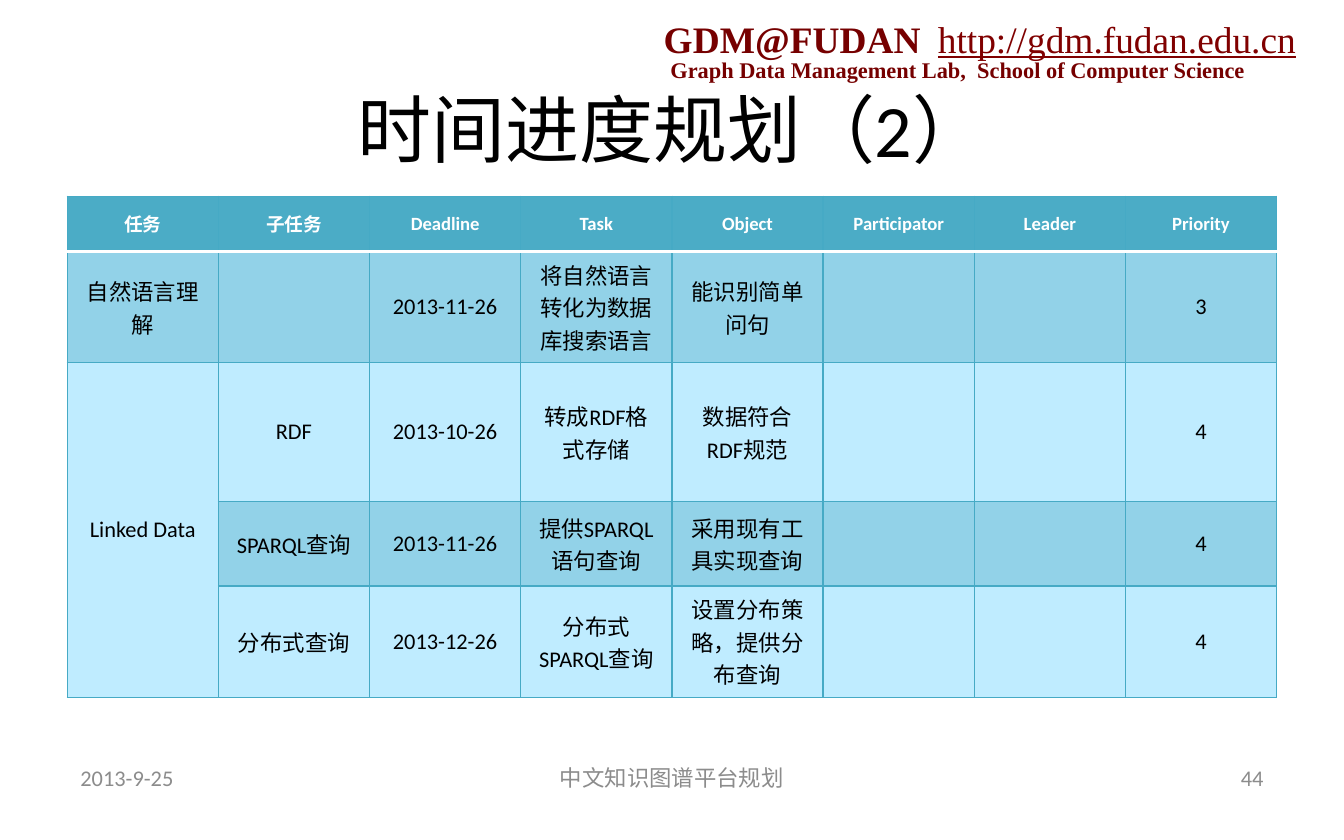
from lxml.etree import SubElement
from pptx import Presentation
from pptx.dml.color import RGBColor
from pptx.enum.text import MSO_ANCHOR as Anchor, PP_ALIGN as Align
from pptx.oxml import parse_xml
from pptx.oxml.ns import nsdecls, qn
from pptx.util import Inches, Pt

MAROON, GREY, BLACK, WHITE = "760000", "8C8C8C", "000000", "FFFFFF"
HEADER_FILL, DARK_BAND, LIGHT_BAND, GRID = "4BACC6", "92D2E8", "BFECFF", "46AAC5"
SERIF, SANS = "Times New Roman", "Calibri"

ROW_HEIGHTS = [0.41, 0.83, 1.03, 0.63, 0.83]
SCHEDULE = [
    ["任务", "子任务", "Deadline", "Task", "Object", "Participator", "Leader", "Priority"],
    ["自然语言理解", "", "2013-11-26", "将自然语言转化为数据库搜索语言", "能识别简单问句", "", "", "3"],
    ["Linked Data", "RDF", "2013-10-26", "转成RDF格式存储", "数据符合RDF规范", "", "", "4"],
    ["", "SPARQL查询", "2013-11-26", "提供SPARQL语句查询", "采用现有工具实现查询", "", "", "4"],
    ["", "分布式查询", "2013-12-26", "分布式SPARQL查询", "设置分布策略，提供分布查询", "", "", "4"],
]


def rgb(value):
    """Turn a hex string into a colour."""
    return RGBColor.from_string(value)


def style(paragraph, size, color, face=SANS, bold=False, underline=False, align=Align.LEFT):
    """Set the font and alignment of a whole paragraph."""
    paragraph.alignment = align
    font = paragraph.font
    font.size, font.name, font.bold, font.underline = Pt(size), face, bold, underline
    font.color.rgb = rgb(color)


def add_text(slide, box, text, size, color, anchor=Anchor.MIDDLE, wrap=True, **look):
    """Add one line of text in a box and return its run."""
    frame = slide.shapes.add_textbox(*map(Inches, box)).text_frame
    frame.word_wrap, frame.vertical_anchor = wrap, anchor
    paragraph = frame.paragraphs[0]
    run = paragraph.add_run()
    run.text = text
    style(paragraph, size, color, **look)
    return run


def add_shadow(run):
    """Give a run of text a soft shadow."""
    run._r.get_or_add_rPr().append(parse_xml(
        f'<a:effectLst {nsdecls("a")}><a:outerShdw blurRad="38100" dist="38100" dir="8100000">'
        '<a:srgbClr val="000000"><a:alpha val="43000"/></a:srgbClr></a:outerShdw></a:effectLst>'))


def add_border(cell, side, color, width):
    """Draw one side of a cell."""
    line = SubElement(cell._tc.get_or_add_tcPr(), qn(f"a:ln{side}"), w=str(Pt(width)))
    SubElement(SubElement(line, qn("a:solidFill")), qn("a:srgbClr"), val=color)


def add_lab_banner(slide, left, top):
    """Place the lab's name, address and subtitle."""
    serif = dict(face=SERIF, anchor=Anchor.TOP)
    add_text(slide, (left + 0.05, top + 0.3, 4.6, 0.3),
             "Graph Data Management Lab,  School of Computer Science", 12, MAROON, bold=True, **serif)
    add_shadow(add_text(slide, (left, top, 2.12, 0.43), "GDM@FUDAN", 20, MAROON, bold=True, **serif))
    add_text(slide, (left + 2.04, top, 2.88, 0.43), "http://gdm.fudan.edu.cn", 20, "800000",
             wrap=False, underline=True, **serif)


def add_schedule(slide, left, top, width):
    """Place the banded schedule table."""
    rows, columns = len(SCHEDULE), len(SCHEDULE[0])
    table = slide.shapes.add_table(rows, columns, Inches(left), Inches(top),
                                   Inches(width), Inches(sum(ROW_HEIGHTS))).table
    for column in table.columns:
        column.width = Inches(width / columns)
    for index, (height, labels) in enumerate(zip(ROW_HEIGHTS, SCHEDULE)):
        table.rows[index].height = Inches(height)
        heading = index == 0
        band = HEADER_FILL if heading else DARK_BAND if index % 2 else LIGHT_BAND
        divider, edge = (WHITE, 2), (GRID, 0.75)
        for position, label in enumerate(labels):
            cell = table.cell(index, position)
            add_border(cell, "L", *edge)
            add_border(cell, "R", *edge)
            add_border(cell, "T", *(divider if index == 1 else edge))
            add_border(cell, "B", *(divider if heading else edge))
            cell.fill.solid()
            cell.fill.fore_color.rgb = rgb(LIGHT_BAND if position == 0 and index > 1 else band)
            cell.vertical_anchor = Anchor.MIDDLE
            cell.text = label
            style(cell.text_frame.paragraphs[0], 10 if heading else 12,
                  WHITE if heading else BLACK, bold=heading, align=Align.CENTER)
    table.cell(2, 0).merge(table.cell(rows - 1, 0))


def add_footer(slide, left, top, width, height):
    """Place the date, the talk's name and the page number."""
    side, middle = 2.33, 3.17
    add_text(slide, (left, top, side, height), "2013-9-25", 12, GREY)
    add_text(slide, (left + (width - middle) / 2, top, middle, height),
             "中文知识图谱平台规划", 12, GREY, align=Align.CENTER)
    add_text(slide, (left + width - side, top, side, height), "44", 12, GREY, align=Align.RIGHT)


def main():
    """Build and save the slide."""
    deck = Presentation()
    deck.slide_width, deck.slide_height = Inches(10), Inches(6.25)
    slide = deck.slides.add_slide(deck.slide_layouts[6])
    add_lab_banner(slide, 4.84, 0.07)
    add_text(slide, (0.5, 0.62, 9, 0.67), "时间进度规划（2）", 39.6, BLACK, align=Align.CENTER)
    add_schedule(slide, 0.5, 1.46, 9)
    add_footer(slide, 0.5, 5.62, 9, 0.33)
    deck.save("out.pptx")


if __name__ == "__main__":
    main()
